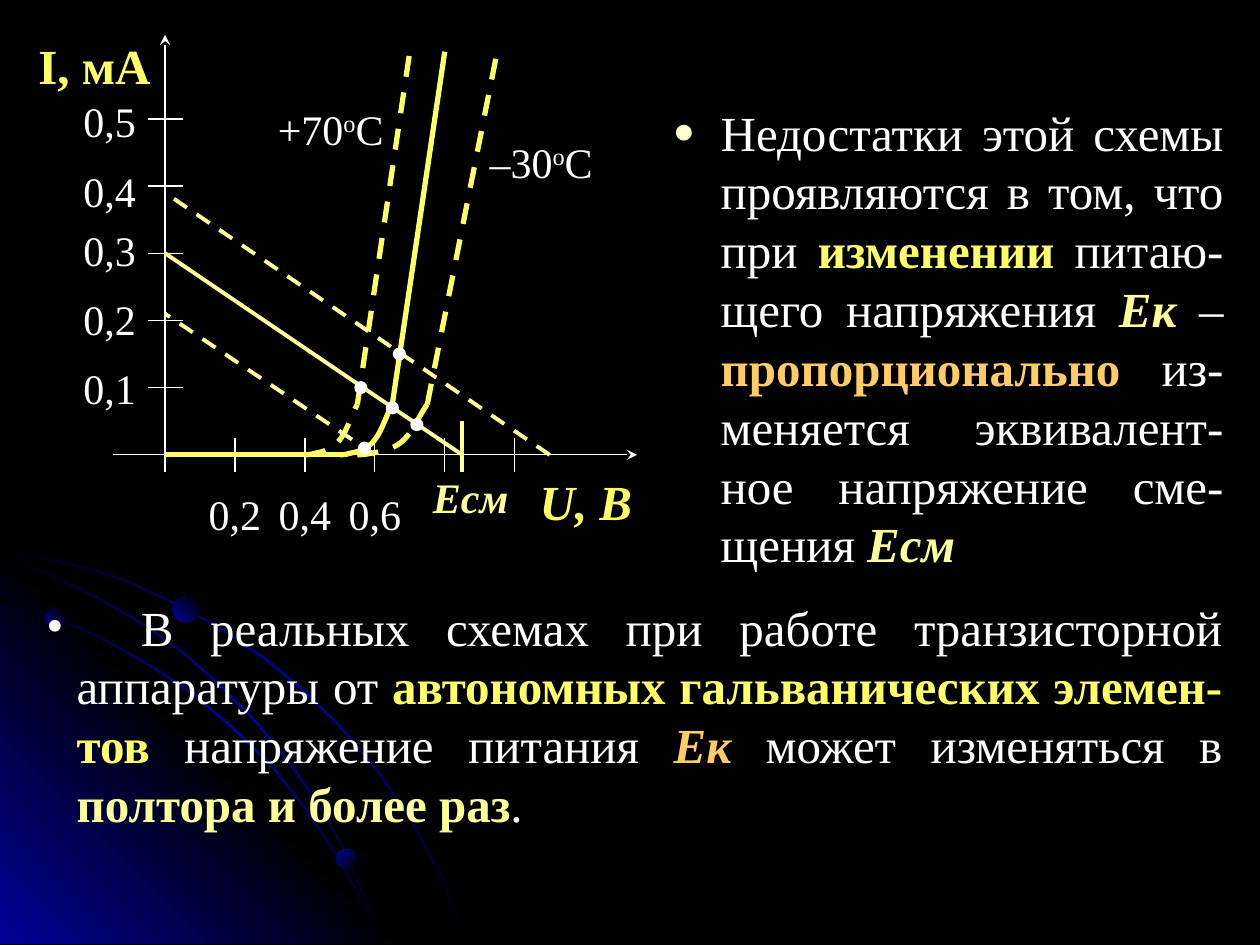
from typing import NamedTuple

from lxml.etree import SubElement
from pptx import Presentation
from pptx.dml.color import RGBColor
from pptx.enum.dml import MSO_LINE
from pptx.enum.shapes import MSO_CONNECTOR, MSO_SHAPE
from pptx.enum.text import MSO_ANCHOR, MSO_AUTO_SIZE, PP_ALIGN
from pptx.oxml import parse_xml
from pptx.oxml.ns import nsdecls, qn
from pptx.util import Inches, Pt

COLORS = {"black": "000000", "white": "FFFFFF", "yellow": "FFFF66", "pale": "FFFF99",
          "orange": "FFCC66", "cream": "FFFFCC", "blue": "010199"}
FONT = "Times New Roman"

# Plot grid: a column is 0.1 V, a row is 0.1 mA
ORIGIN_X, ORIGIN_Y = 1.31, 3.61
COLUMN, ROW = 2.22 / 8, 1.6 / 3


class Run(NamedTuple):
    text: str
    color: str = "white"
    bold: bool = False
    italic: bool = False
    raised: bool = False


class Label(NamedTuple):
    left: float
    top: float
    width: float
    runs: list[Run]
    size: int = 24


class Segment(NamedTuple):
    start: tuple[float, float]
    end: tuple[float, float]
    color: str = "white"
    weight: float = 0.75
    dashed: bool = False
    arrow: bool = False


class Diode(NamedTuple):
    start: float
    knee: float
    top: float
    dashed: bool


def rgb(name: str) -> RGBColor:
    return RGBColor.from_string(COLORS[name])


def grid(point: tuple[float, float]) -> tuple[int, int]:
    column, row = point
    return Inches(ORIGIN_X + column * COLUMN), Inches(ORIGIN_Y - row * ROW)


def add_runs(paragraph, runs: list[Run], size: int) -> None:
    for part in runs:
        run = paragraph.add_run()
        run.text = part.text
        font = run.font
        font.name, font.size = FONT, Pt(size)
        font.bold, font.italic = part.bold, part.italic
        font.color.rgb = rgb(part.color)
        if part.raised:
            font._element.set("baseline", "30000")


def add_label(shapes, label: Label) -> None:
    box = shapes.add_textbox(Inches(label.left), Inches(label.top),
                             Inches(label.width), Inches(0.4))
    frame = box.text_frame
    frame.word_wrap = True
    frame.margin_left = frame.margin_top = frame.margin_right = frame.margin_bottom = 0
    paragraph = frame.paragraphs[0]
    paragraph.alignment = PP_ALIGN.CENTER
    paragraph.line_spacing = 1.0
    add_runs(paragraph, label.runs, label.size)


def fill_bullet(shape, area: tuple, runs: list[Run], hang: float, bullet: str,
                color: str, percent: int, tab: float) -> None:
    shape.left, shape.top, shape.width, shape.height = (Inches(v) for v in area)
    frame = shape.text_frame
    frame.word_wrap = True
    frame.auto_size = MSO_AUTO_SIZE.NONE
    frame.vertical_anchor = MSO_ANCHOR.TOP
    paragraph = frame.paragraphs[0]
    paragraph.alignment = PP_ALIGN.JUSTIFY
    paragraph.line_spacing = 1.0
    paragraph.space_before = Pt(0)
    props = paragraph._p.get_or_add_pPr()
    props.set("marL", str(Inches(hang)))
    props.set("indent", str(-Inches(hang)))
    SubElement(SubElement(props, qn("a:buClr")), qn("a:srgbClr"), val=COLORS[color])
    SubElement(props, qn("a:buSzPct"), val=str(percent * 1000))
    SubElement(props, qn("a:buFont"), typeface=FONT)
    SubElement(props, qn("a:buChar"), char=bullet)
    SubElement(SubElement(props, qn("a:tabLst")), qn("a:tab"), pos=str(Inches(tab)), algn="l")
    add_runs(paragraph, runs, 28)


def style_line(line, color: str, weight: float, dashed: bool) -> None:
    line.color.rgb = rgb(color)
    line.width = Pt(weight)
    if dashed:
        line.dash_style = MSO_LINE.DASH


def add_segment(shapes, segment: Segment) -> None:
    link = shapes.add_connector(MSO_CONNECTOR.STRAIGHT, *grid(segment.start), *grid(segment.end))
    style_line(link.line, segment.color, segment.weight, segment.dashed)
    if segment.arrow:
        SubElement(link.line._get_or_add_ln(), qn("a:tailEnd"), type="stealth")
    SubElement(link._element.spPr, qn("a:effectLst"))


def add_outline(shapes, points: list[tuple[int, int]], close: bool):
    builder = shapes.build_freeform(*points[0])
    builder.add_line_segments(points[1:], close=close)
    shape = builder.convert_to_shape()
    shape.shadow.inherit = False
    return shape


def bezier(p: list[tuple[float, float]], t: float) -> tuple[float, float]:
    weights = ((1 - t) ** 3, 3 * t * (1 - t) ** 2, 3 * t * t * (1 - t), t ** 3)
    return tuple(sum(w * q[axis] for w, q in zip(weights, p)) for axis in (0, 1))


KNEE = [(0, 0), (0.02, 0), (0.09, 0), (0.16, 0.02), (0.26, 0.05), (0.33, 0.05), (0.42, 0.1),
        (0.53, 0.15), (0.63, 0.22), (0.72, 0.38), (0.81, 0.52), (0.93, 0.88), (1, 1)]


def add_diode(shapes, diode: Diode) -> None:
    bend = [KNEE[0]] + [bezier(KNEE[i:i + 4], step / 6)
                        for i in range(0, 12, 3) for step in range(1, 7)]
    width = diode.knee - diode.start
    curve = add_outline(shapes, [grid((diode.start + x * width, y * 0.75)) for x, y in bend], False)
    curve.fill.background()
    style_line(curve.line, "yellow", 3, diode.dashed)
    add_segment(shapes, Segment((diode.knee, 0.75), (diode.top, 6), "yellow", 3, diode.dashed))


def paint_gradient(shape, names: list[str], angle: int) -> None:
    shape.line.fill.background()
    shape.shadow.inherit = False
    stops = "".join(f'<a:gs pos="{100000 * i // (len(names) - 1)}"><a:srgbClr val="{COLORS[n]}"/></a:gs>'
                    for i, n in enumerate(names))
    shape._element.spPr.find(qn("a:ln")).addprevious(parse_xml(
        f'<a:gradFill {nsdecls("a")}><a:gsLst>{stops}</a:gsLst>'
        f'<a:lin ang="{angle * 60000}" scaled="0"/></a:gradFill>'))


def add_orbit(shapes, edge: list[tuple[float, float]]) -> None:
    last = len(edge) - 1
    inner = [(x - 0.02 * i / last, y + 0.02 * (1 - i / last)) for i, (x, y) in enumerate(edge)]
    points = [(Inches(x), Inches(y)) for x, y in edge + inner[::-1]]
    paint_gradient(add_outline(shapes, points, True), ["black", "blue", "black"], 225)


ORBITS = [
    [(0, 4.35), (0.57, 4.47), (0.98, 4.59), (1.36, 4.77), (1.74, 4.97), (2.09, 5.21), (2.42, 5.48),
     (2.72, 5.78), (3, 6.11), (3.25, 6.48), (3.39, 6.73), (3.52, 6.98), (3.62, 7.23), (3.72, 7.49)],
    [(0, 4.75), (0.41, 4.88), (0.79, 5.05), (1.17, 5.26), (1.52, 5.49), (1.84, 5.76), (2.15, 6.06),
     (2.42, 6.4), (2.66, 6.76), (2.86, 7.12), (2.96, 7.3), (3.03, 7.49)],
    [(0, 4.42), (0.39, 4.55), (0.76, 4.73), (1.11, 4.93), (1.44, 5.16), (1.75, 5.43), (2.04, 5.73),
     (2.29, 6.03), (2.54, 6.39), (2.69, 6.65), (2.82, 6.93), (2.94, 7.2), (3.03, 7.49)]]
PLANETS = [(0.36, 4.83, 0.15, 135), (2.67, 6.74, 0.16, 225), (1.37, 4.73, 0.21, 135)]
DIODES = [Diode(5, 6.5, 8, False), Diode(5.5, 7.5, 9.5, True), Diode(4, 5.5, 7, True)]
AXES = [Segment((0, -0.25), (0, 6.25), arrow=True), Segment((-1.5, 0), (13.5, 0), arrow=True)]
LOAD_LINES = [Segment((8.5, 0), (0, 3), "pale", 2.25), Segment((8.5, 0.5), (8.5, -0.25), "pale", 2.25),
              Segment((6, 0), (0, 2.1), "pale", 2.25, True),
              Segment((11, 0), (0, 3.9), "pale", 2.25, True)]
OPERATING_POINTS = [(6.5, 0.7), (6.7, 1.5), (5.7, 0.1), (5.6, 1), (7.2, 0.45)]
CURRENT_TOPS = {"0,1": 2.88, "0,2": 2.33, "0,3": 1.78, "0,4": 1.31, "0,5": 0.76}
LABELS = [Label(0.2, 0.28, 1.1, [Run("I, мА", "yellow", True)], 28),
          Label(4.22, 3.74, 0.86, [Run("U, В", "yellow", True, True)], 28),
          Label(3.39, 3.74, 0.69, [Run("Есм", "pale", True, True)]),
          Label(2.14, 0.82, 0.97, [Run("+70"), Run("о", raised=True), Run("С")]),
          Label(3.81, 1.08, 0.97, [Run("–30"), Run("о", raised=True), Run("С")])]
LABELS += [Label(0.59, top, 0.56, [Run(text)]) for text, top in CURRENT_TOPS.items()]
LABELS += [Label(ORIGIN_X + column * COLUMN - 0.28, 3.88, 0.56, [Run(f"0,{column}")])
           for column in (2, 4, 6)]
DRAWBACKS = [Run("Недостатки этой схемы проявляются в том, что при "), Run("изменении", "yellow", True),
             Run(" питаю-щего напряжения "), Run("Ек", "pale", True, True), Run(" – "),
             Run("пропорционально", "orange", True),
             Run(" из-меняется эквивалент-ное напряжение сме-щения "), Run("Есм", "pale", True, True)]
PRACTICE = [Run("\tВ реальных схемах при работе транзисторной аппаратуры от "),
            Run("автономных гальванических элемен-тов", "yellow", True), Run(" напряжение питания "),
            Run("Ек", "orange", True, True), Run(" может изменяться в "),
            Run("полтора и более раз", "pale", True), Run(".")]


def main() -> None:
    deck = Presentation()
    deck.slide_width, deck.slide_height = Inches(10), Inches(7.5)
    slide = deck.slides.add_slide(deck.slide_layouts[1])
    slide.background.fill.solid()
    slide.background.fill.fore_color.rgb = rgb("black")
    shapes = slide.shapes
    title = shapes.title._element
    title.getparent().remove(title)

    # Corner decoration
    corner = add_outline(shapes, [(Inches(x), Inches(y)) for x, y in
                                  ((3.22, 7.49), (0, 7.49), (0, 4.27))], True)
    paint_gradient(corner, ["blue", "black", "blue"], 135)
    for edge in ORBITS:
        add_orbit(shapes, edge)
    for left, top, size, angle in PLANETS:
        planet = shapes.add_shape(MSO_SHAPE.OVAL, *(Inches(v) for v in (left, top, size, size)))
        paint_gradient(planet, ["black", "blue"], angle)

    # Axes and ticks
    ticks = [Segment((-0.5, i), (0.5, i)) for i in range(1, 6)]
    ticks += [Segment((2 * i, -0.25), (2 * i, 0.25)) for i in range(1, 6)]
    for segment in AXES + ticks:
        add_segment(shapes, segment)
    for label in LABELS:
        add_label(shapes, label)

    # Diode curves, load lines and operating points
    add_segment(shapes, Segment((0, 0), (5, 0), "yellow", 3))
    for diode in DIODES:
        add_diode(shapes, diode)
    for segment in LOAD_LINES:
        add_segment(shapes, segment)
    dot = Inches(0.09)
    for point in OPERATING_POINTS:
        x, y = grid(point)
        marker = shapes.add_shape(MSO_SHAPE.OVAL, x - dot // 2, y - dot // 2, dot, dot)
        marker.shadow.inherit = False
        marker.fill.solid()
        marker.fill.fore_color.rgb = rgb("white")
        style_line(marker.line, "white", 1, False)

    # Explanations
    fill_bullet(slide.placeholders[1], (5.24, 0.76, 4.57, 4.02), DRAWBACKS, 0.38, "●", "cream", 75, 1)
    fill_bullet(shapes.add_textbox(0, 0, 0, 0), (0.27, 4.69, 9.53, 1.97), PRACTICE,
                0.24, "•", "white", 100, 0.75)
    deck.save("out.pptx")


if __name__ == "__main__":
    main()
